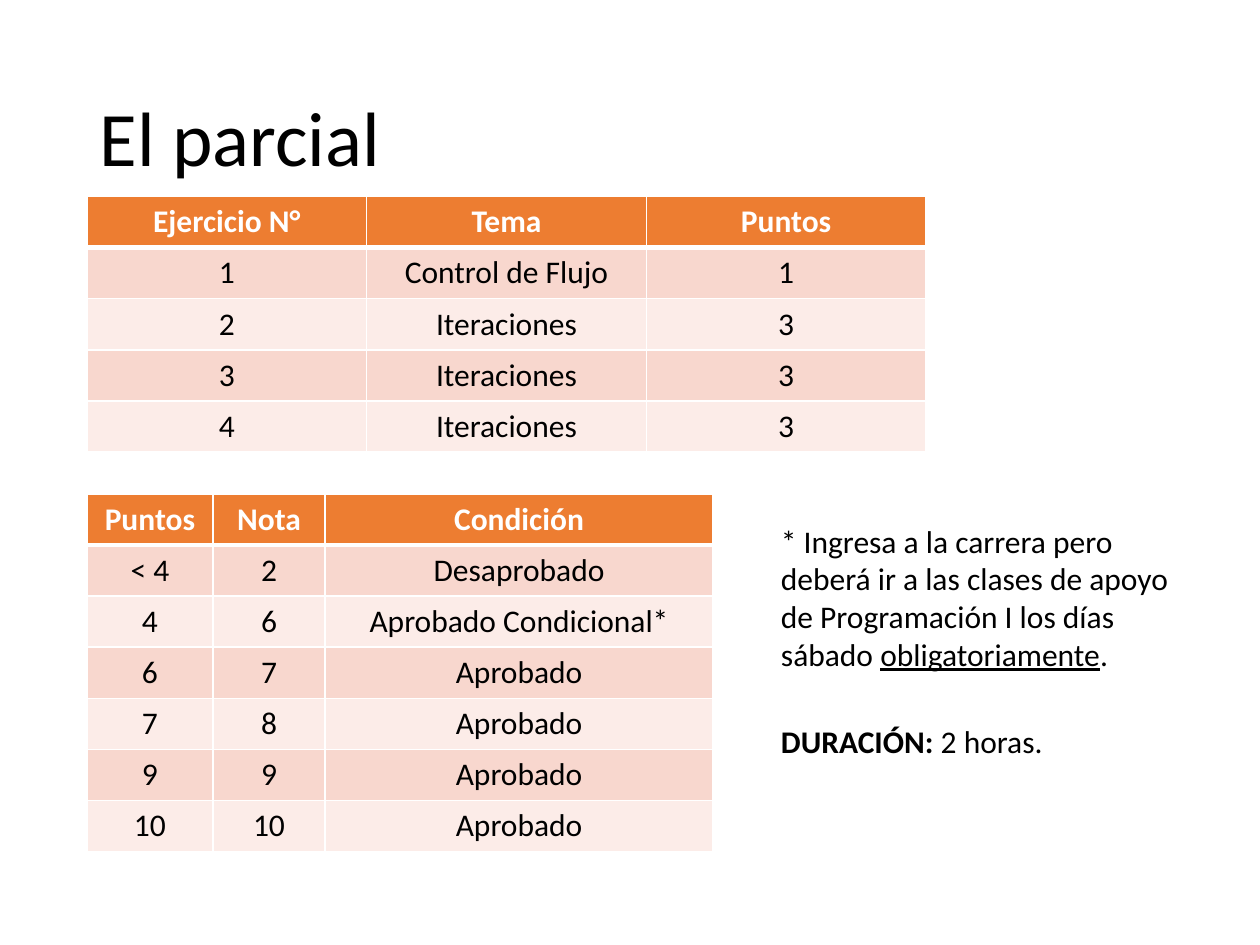
import lxml.etree
import pptx
import pptx.dml.color
import pptx.enum.text
import pptx.oxml.ns
import pptx.util

Inches = pptx.util.Inches
Pt = pptx.util.Pt
ALIGN = pptx.enum.text.PP_ALIGN
ANCHOR = pptx.enum.text.MSO_ANCHOR
COLORS = {"text": "000000", "white": "FFFFFF", "header": "ED7D31",
          "odd": "F8D7CE", "even": "FCECE8"}
LEFT = 0.69
ROW_HEIGHT = Inches(2.84) // 7

EXERCISES = [
    ("Ejercicio N°", "Tema", "Puntos"),
    ("1", "Control de Flujo", "1"),
    ("2", "Iteraciones", "3"),
    ("3", "Iteraciones", "3"),
    ("4", "Iteraciones", "3"),
]
GRADES = [
    ("Puntos", "Nota", "Condición"),
    ("< 4", "2", "Desaprobado"),
    ("4", "6", "Aprobado Condicional*"),
    ("6", "7", "Aprobado"),
    ("7", "8", "Aprobado"),
    ("9", "9", "Aprobado"),
    ("10", "10", "Aprobado"),
]


def rgb(name):
    """Return the named colour."""
    return pptx.dml.color.RGBColor.from_string(COLORS[name])


def style_font(font, size, color="text", bold=False):
    """Set the typeface, size, colour and weight of a font."""
    font.name = "Calibri"
    font.size = Pt(size)
    font.bold = bold
    font.color.rgb = rgb(color)


def add_border(cell, side, width):
    """Draw a white line on one side of a cell."""
    qn = pptx.oxml.ns.qn
    ln = lxml.etree.SubElement(cell._tc.get_or_add_tcPr(), qn("a:ln" + side),
                               w=str(Pt(width)))
    fill = lxml.etree.SubElement(ln, qn("a:solidFill"))
    lxml.etree.SubElement(fill, qn("a:srgbClr"), val=COLORS["white"])


def add_title(s, text):
    """Fill and place the title."""
    title = s.shapes.title
    title.left, title.top = Inches(LEFT), Inches(0.4)
    title.width, title.height = Inches(8.62), Inches(1.45)
    tf = title.text_frame
    tf.text = text
    tf.vertical_anchor = ANCHOR.MIDDLE
    p = tf.paragraphs[0]
    p.alignment = ALIGN.LEFT
    p.line_spacing = 0.9
    style_font(p.font, 44)


def fill_cell(cell, text, row, anchor):
    """Write and format one table cell."""
    header = row == 0
    cell.text = text
    cell.vertical_anchor = anchor
    p = cell.text_frame.paragraphs[0]
    p.alignment = ALIGN.CENTER
    style_font(p.font, 18, "white" if header else "text", header)
    widths = {"L": 1, "R": 1, "T": 3 if row == 1 else 1, "B": 3 if header else 1}
    for side, width in widths.items():
        add_border(cell, side, width)
    cell.fill.solid()
    cell.fill.fore_color.rgb = rgb("header" if header else "odd" if row % 2 else "even")


def add_grid(s, top, widths, rows, anchor):
    """Add a banded table with a header row."""
    table = s.shapes.add_table(len(rows), len(widths), Inches(LEFT), Inches(top),
                               Inches(sum(widths)), ROW_HEIGHT * len(rows)).table
    for column, width in zip(table.columns, widths):
        column.width = Inches(width)
    for i, row in enumerate(rows):
        table.rows[i].height = ROW_HEIGHT
        for j, text in enumerate(row):
            fill_cell(table.cell(i, j), text, i, anchor)


def add_note(s, top, height, runs):
    """Add a text box of (text, bold, underline) runs."""
    tf = s.shapes.add_textbox(Inches(6.1), Inches(top), Inches(3.43),
                              Inches(height)).text_frame
    tf.word_wrap = True
    tf.auto_size = pptx.enum.text.MSO_AUTO_SIZE.SHAPE_TO_FIT_TEXT
    p = tf.paragraphs[0]
    for text, bold, underline in runs:
        r = p.add_run()
        r.text = text
        style_font(r.font, 18, bold=bold)
        r.font.underline = underline


def main():
    """Build the exam slide."""
    prs = pptx.Presentation()
    prs.slide_width, prs.slide_height = Inches(10), Inches(7.5)
    s = prs.slides.add_slide(prs.slide_layouts[5])
    add_title(s, "El parcial")
    add_grid(s, 1.56, [2.22] * 3, EXERCISES, ANCHOR.TOP)
    add_grid(s, 3.92, [1, 0.89, 3.08], GRADES, ANCHOR.MIDDLE)
    add_note(s, 4.09, 1.31, [
        ("* Ingresa a la carrera pero deberá ir a las clases de apoyo de "
         "Programación I los días sábado ", False, False),
        ("obligatoriamente", False, True),
        (".", False, False),
    ])
    add_note(s, 5.68, 0.4, [("DURACIÓN:", True, False), (" 2 horas.", False, False)])
    prs.save("out.pptx")


main()
